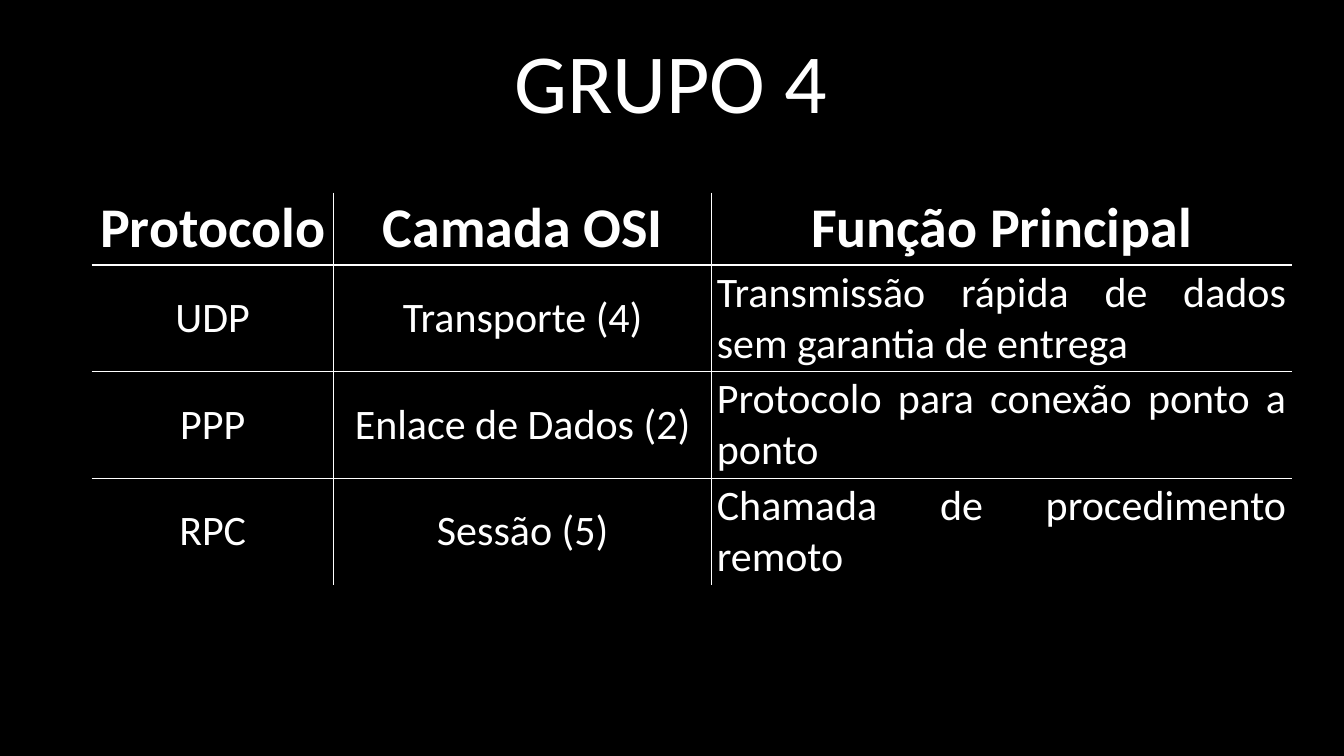
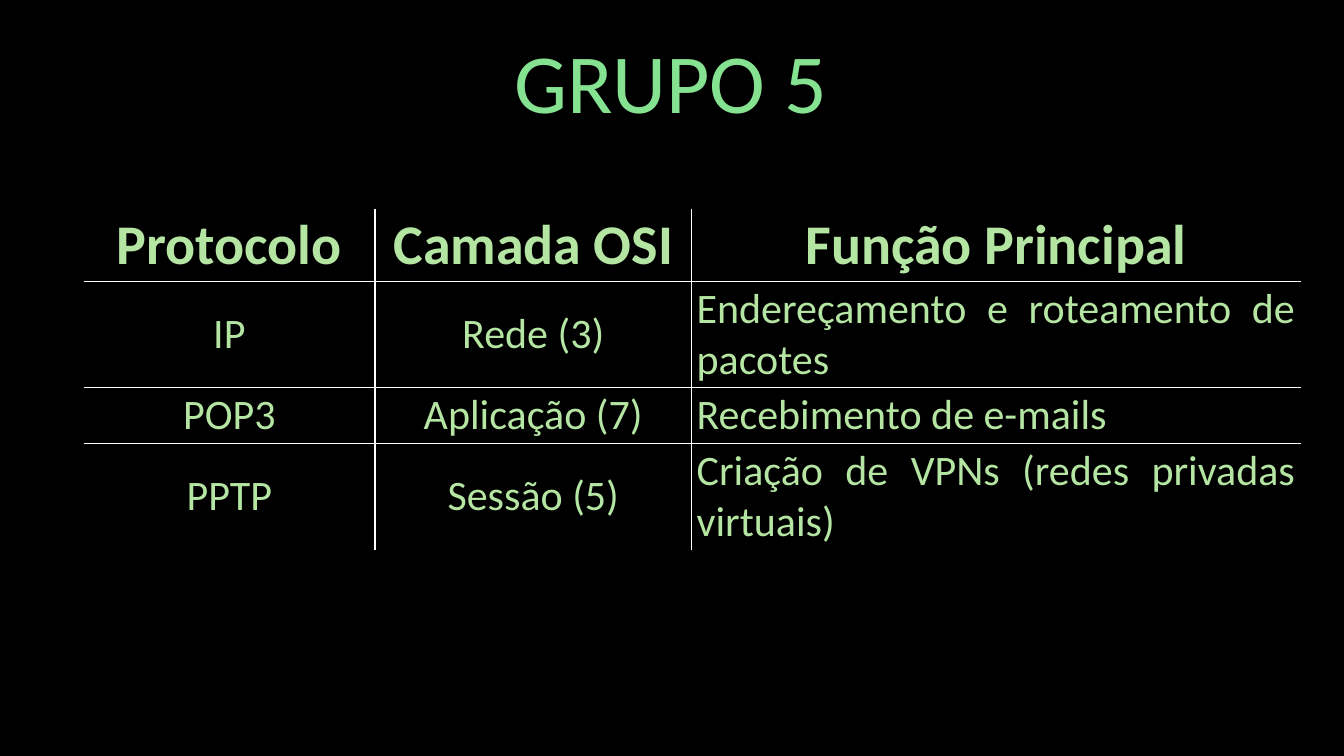
import pptx
import pptx.dml.color
import pptx.enum.text
import pptx.oxml
import pptx.oxml.ns
import pptx.util

Inches = pptx.util.Inches
Pt = pptx.util.Pt
ALIGN = pptx.enum.text.PP_ALIGN
ANCHOR = pptx.enum.text.MSO_ANCHOR

FONT = "Calibri"
BLACK, WHITE = "000000", "FFFFFF"
HEADER = ("Protocolo", "Camada OSI", "Função Principal")
HEADER_HEIGHT, ONE_LINE, TWO_LINES = 0.72, 0.55, 1.04

groups = [
    dict(title="GRUPO 4", title_color=WHITE, text_color=WHITE,
         left=0.91, top=1.91, widths=(2.4, 3.75, 5.75),
         heights=(HEADER_HEIGHT, TWO_LINES, TWO_LINES, TWO_LINES),
         rows=[("UDP", "Transporte (4)", "Transmissão rápida de dados sem garantia de entrega"),
               ("PPP", "Enlace de Dados (2)", "Protocolo para conexão ponto a ponto"),
               ("RPC", "Sessão (5)", "Chamada de procedimento remoto")]),
    dict(title="GRUPO 5", title_color="84E291", text_color="B4E5A2",
         left=0.83, top=2.07, widths=(2.89, 3.14, 6.04),
         heights=(HEADER_HEIGHT, TWO_LINES, ONE_LINE, TWO_LINES),
         rows=[("IP", "Rede (3)", "Endereçamento e roteamento de pacotes"),
               ("POP3", "Aplicação (7)", "Recebimento de e-mails"),
               ("PPTP", "Sessão (5)", "Criação de VPNs (redes privadas virtuais)")]),
]


def style_text(p, size, color, align, bold=False):
    p.alignment = align
    for r in p.runs:
        r.font.name = FONT
        r.font.size = Pt(size)
        r.font.bold = bold
        r.font.color.rgb = pptx.dml.color.RGBColor.from_string(color)


def set_border(cell, side, visible):
    fill = (f'<a:solidFill><a:srgbClr val="{WHITE}"/></a:solidFill>'
            if visible else "<a:noFill/>")
    cell._tc.get_or_add_tcPr().append(pptx.oxml.parse_xml(
        f'<a:ln{side} {pptx.oxml.ns.nsdecls("a")} w="{Pt(1)}">{fill}</a:ln{side}>'))


prs = pptx.Presentation()
prs.slide_width, prs.slide_height = Inches(13.33), Inches(7.5)

# Shared black background
background = prs.slide_master.background.fill
background.solid()
background.fore_color.rgb = pptx.dml.color.RGBColor.from_string(BLACK)

for group in groups:
    s = prs.slides.add_slide(prs.slide_layouts[5])

    # Title
    title = s.shapes.title
    title.left, title.top = Inches(5), Inches(0.24)
    title.width, title.height = Inches(3.34), Inches(1.11)
    tf = title.text_frame
    tf.text = group["title"]
    tf.word_wrap = False
    tf.auto_size = pptx.enum.text.MSO_AUTO_SIZE.NONE
    tf.vertical_anchor = ANCHOR.TOP
    style_text(tf.paragraphs[0], 60, group["title_color"], ALIGN.LEFT)

    # Table size
    rows = [HEADER] + group["rows"]
    widths, heights = group["widths"], group["heights"]
    table = s.shapes.add_table(
        len(rows), len(widths), Inches(group["left"]), Inches(group["top"]),
        Inches(sum(widths)), Inches(sum(heights))).table
    table.first_row = table.horz_banding = False
    for column, width in zip(table.columns, widths):
        column.width = Inches(width)
    for row, height in zip(table.rows, heights):
        row.height = Inches(height)

    # Cells: only the inner grid lines show
    for i, row in enumerate(rows):
        for j, text in enumerate(row):
            cell = table.cell(i, j)
            cell.margin_left = cell.margin_right = Inches(0.05)
            cell.margin_top = cell.margin_bottom = Inches(0.02)
            cell.vertical_anchor = ANCHOR.MIDDLE
            set_border(cell, "L", j > 0)
            set_border(cell, "R", j < len(row) - 1)
            set_border(cell, "T", i > 0)
            set_border(cell, "B", i < len(rows) - 1)
            cell.fill.background()
            cell.text_frame.text = text
            is_header = i == 0
            is_description = j == 2 and not is_header
            style_text(cell.text_frame.paragraphs[0], 40 if is_header else 30,
                       group["text_color"],
                       ALIGN.JUSTIFY if is_description else ALIGN.CENTER, is_header)

prs.save("out.pptx")
